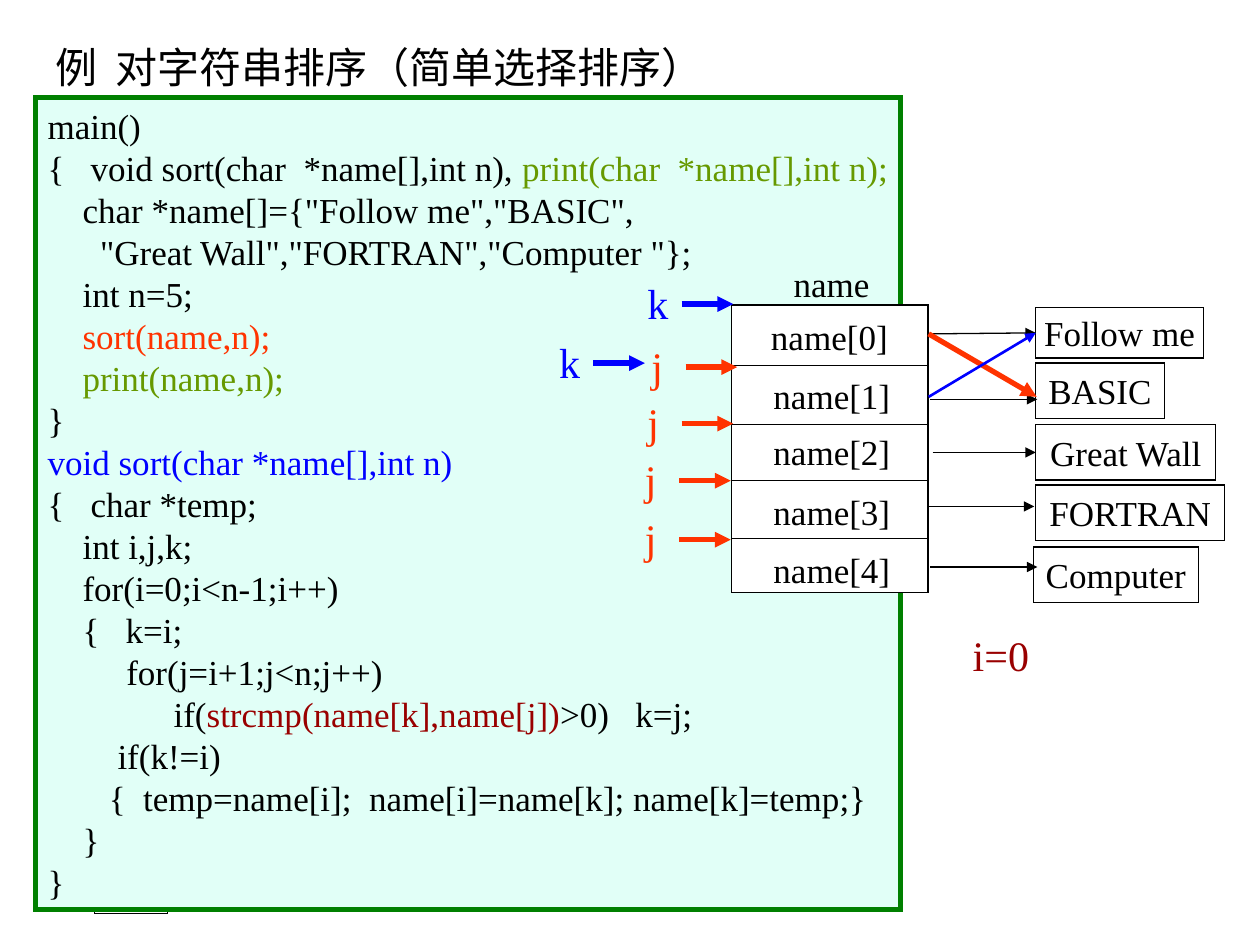
import pptx
import pptx.dml.color
import pptx.enum.shapes
import pptx.enum.text
import pptx.oxml
import pptx.oxml.ns
import pptx.util
from pptx.util import Cm

COLORS = {
    "ink": "000000", "paper": "FFFFFF", "panel": "E1FFF7", "frame": "008000",
    "print": "669900", "scan": "FF3300", "pick": "0000FF", "compare": "990000",
}
FONT = "Times New Roman"
FRAME_FORMAT = {
    "word_wrap": False,
    "margin_left": Cm(0.25), "margin_right": Cm(0.25),
    "margin_top": Cm(0.13), "margin_bottom": Cm(0.13),
}
ALIGN = pptx.enum.text.PP_ALIGN
ANCHOR = pptx.enum.text.MSO_ANCHOR
SHAPE = pptx.enum.shapes.MSO_SHAPE
NS = pptx.oxml.ns.nsdecls("a")

# Each code line is a list of (text, colour) runs
CODE = [
    [("main()", "ink")],
    [("{   void sort(char  *name[],int n), ", "ink"),
     ("print(char  *name[],int n);", "print")],
    [('    char *name[]={"Follow me","BASIC",', "ink")],
    [('      "Great Wall","FORTRAN","Computer "};', "ink")],
    [("    int n=5;", "ink")],
    [("    sort(name,n);", "scan")],
    [("    print(name,n);", "print")],
    [("}", "ink")],
    [("void sort(char *name[],int n)", "pick")],
    [("{   char *temp;", "ink")],
    [("    int i,j,k;", "ink")],
    [("    for(i=0;i<n-1;i++)", "ink")],
    [("    {   k=i;", "ink")],
    [("         for(j=i+1;j<n;j++)", "ink")],
    [("\tif(", "ink"), ("strcmp(name[k],name[j])", "compare"), (">0)   k=j;", "ink")],
    [("        if(k!=i)", "ink")],
    [("       {  temp=name[i];  name[i]=name[k]; name[k]=temp;}", "ink")],
    [("    }", "ink")],
    [("}", "ink")],
]


def rgb(color):
    return pptx.dml.color.RGBColor.from_string(COLORS[color])


def write(frame, lines, size, align=ALIGN.LEFT, anchor=ANCHOR.TOP, spacing=None):
    for name, value in {**FRAME_FORMAT, "vertical_anchor": anchor}.items():
        setattr(frame, name, value)
    for index, runs in enumerate(lines):
        paragraph = frame.paragraphs[0] if index == 0 else frame.add_paragraph()
        paragraph_format = {"alignment": align, "line_spacing": spacing}
        for name, value in paragraph_format.items():
            setattr(paragraph, name, value)
        if runs[0][0].startswith("\t"):
            paragraph._p.get_or_add_pPr().append(pptx.oxml.parse_xml(
                f'<a:tabLst {NS}><a:tab pos="{Cm(2.54)}" algn="l"/></a:tabLst>'))
        for text, color in runs:
            run = paragraph.add_run()
            run.text = text
            for name, value in {"name": FONT, "size": pptx.util.Pt(size)}.items():
                setattr(run.font, name, value)
            run.font.color.rgb = rgb(color)


def add_label(slide, box, text, size, color="ink", **layout):
    label = slide.shapes.add_textbox(*map(Cm, box))
    write(label.text_frame, [[(text, color)]], size, **layout)
    label.text_frame.auto_size = pptx.enum.text.MSO_AUTO_SIZE.SHAPE_TO_FIT_TEXT


def add_box(slide, box, fill=None, line="ink", width=0.75, kind=SHAPE.RECTANGLE):
    shape = slide.shapes.add_shape(kind, *map(Cm, box))
    shape.shadow.inherit = False
    if fill:
        shape.fill.solid()
        shape.fill.fore_color.rgb = rgb(fill)
    else:
        shape.fill.background()
    shape.line.color.rgb = rgb(line)
    shape.line.width = pptx.util.Pt(width)
    # Square corners
    shape.line._get_or_add_ln().append(
        pptx.oxml.parse_xml(f'<a:miter {NS} lim="800000"/>'))
    return shape


def add_line(slide, start, end, color="ink", width=0.75, arrow=True, target=None):
    line = slide.shapes.add_connector(
        pptx.enum.shapes.MSO_CONNECTOR.STRAIGHT, *map(Cm, (*start, *end)))
    line.line.color.rgb = rgb(color)
    line.line.width = pptx.util.Pt(width)
    if arrow:
        line.line._get_or_add_ln().append(
            pptx.oxml.parse_xml(f'<a:tailEnd {NS} type="triangle"/>'))
    line._element.spPr.append(pptx.oxml.parse_xml(f"<a:effectLst {NS}/>"))
    if target is not None:
        line.end_connect(target, 1)


def add_title(slide, box):
    title = slide.shapes.title
    for name, value in zip(("left", "top", "width", "height"), box):
        setattr(title, name, Cm(value))
    write(title.text_frame, [[("例  对字符串排序（简单选择排序）", "ink")]], 24)


def add_code(slide, box):
    panel = add_box(slide, box, "panel", "frame", 3)
    write(panel.text_frame, CODE, 20, spacing=pptx.util.Pt(24))


def add_name_array(slide, box):
    left, top, width, _ = box
    add_box(slide, box, "paper")
    for divider in (1.22, 2.41, 3.53, 4.7):
        add_line(slide, (left, top + divider), (left + width, top + divider), arrow=False)
    centred = {"align": ALIGN.CENTER, "anchor": ANCHOR.MIDDLE}
    for index, (dx, dy) in enumerate(
            [(0.54, 0.08), (0.59, 1.27), (0.59, 2.39), (0.59, 3.61), (0.59, 4.78)]):
        add_label(slide, (left + dx, top + dy, 2.86, 1.12), f"name[{index}]", 20, **centred)
    add_label(slide, (left + 1, top - 0.99, 2.03, 1.12), "name", 20, **centred)


def add_strings(slide, box):
    """Place the string boxes and the arrow leading to each; return the boxes."""
    left, top = box
    # text, x, y, width, height, arrow start x, arrow y, arrow meets side middle
    rows = [
        ("Follow me", 0.05, 0, 3.38, 1.02, -2.06, 0.53, True),
        ("BASIC", 0.05, 1.12, 2.59, 1.12, -2.08, 1.85, False),
        ("Great Wall", 0.05, 2.36, 3.63, 1.12, -2.03, 2.92, True),
        ("FORTRAN", 0.05, 3.58, 3.81, 1.12, -2.14, 4.01, False),
        ("Computer", 0, 4.83, 3.33, 1.12, -2.08, 5.23, False),
    ]
    strings = []
    for text, dx, dy, width, height, start, arrow_y, joined in rows:
        string = add_box(slide, (left + dx, top + dy, width, height))
        write(string.text_frame, [[(text, "ink")]], 20, ALIGN.CENTER, ANCHOR.MIDDLE)
        add_line(slide, (left + start, top + arrow_y),
                 (left + start + 2.16, top + arrow_y), target=string if joined else None)
        strings.append(string)
    return strings


def add_pointer(slide, box, index_name, color):
    left, top = box
    add_line(slide, (left + 0.94, top + 0.67), (left + 1.98, top + 0.67), color, 3)
    label_width = 0.91 if index_name == "k" else 0.74
    add_label(slide, (left, top, label_width, 1.27), index_name, 24, color)


def add_swap(slide, box, first_string):
    left, top, width, height = box
    add_line(slide, (left, top), (left + width, top + height), "scan", 3)
    add_line(slide, (left, top + height), (left + width, top), "pick", 1.5,
             target=first_string)


def main():
    deck = pptx.Presentation()
    deck.slide_width, deck.slide_height = Cm(25.4), Cm(19.05)
    slide = deck.slides.add_slide(deck.slide_layouts[5])

    # Title, document button and program
    add_title(slide, (0.86, 0.71, 13.59, 1.27))
    add_box(slide, (1.9, 16.51, 1.48, 1.9), "paper", kind=SHAPE.ACTION_BUTTON_DOCUMENT)
    add_code(slide, (0.71, 1.97, 17.45, 16.36))

    # Pointer array and the strings it refers to
    add_name_array(slide, (14.75, 6.15, 3.96, 5.79))
    strings = add_strings(slide, (20.83, 6.2))

    # Index pointers of the first pass
    for index_name, color, *box in [
            ("k", "pick", 12.8, 5.46), ("j", "scan", 12.88, 6.73),
            ("k", "pick", 11.02, 6.65), ("j", "scan", 12.8, 7.87),
            ("j", "scan", 12.75, 9.02), ("j", "scan", 12.75, 10.21)]:
        add_pointer(slide, box, index_name, color)
    add_label(slide, (19.36, 12.57, 1.64, 1.27), "i=0", 24, "compare")

    # Swapped references
    add_swap(slide, (18.72, 6.73, 2.18, 1.27), strings[0])
    deck.save("out.pptx")


if __name__ == "__main__":
    main()
